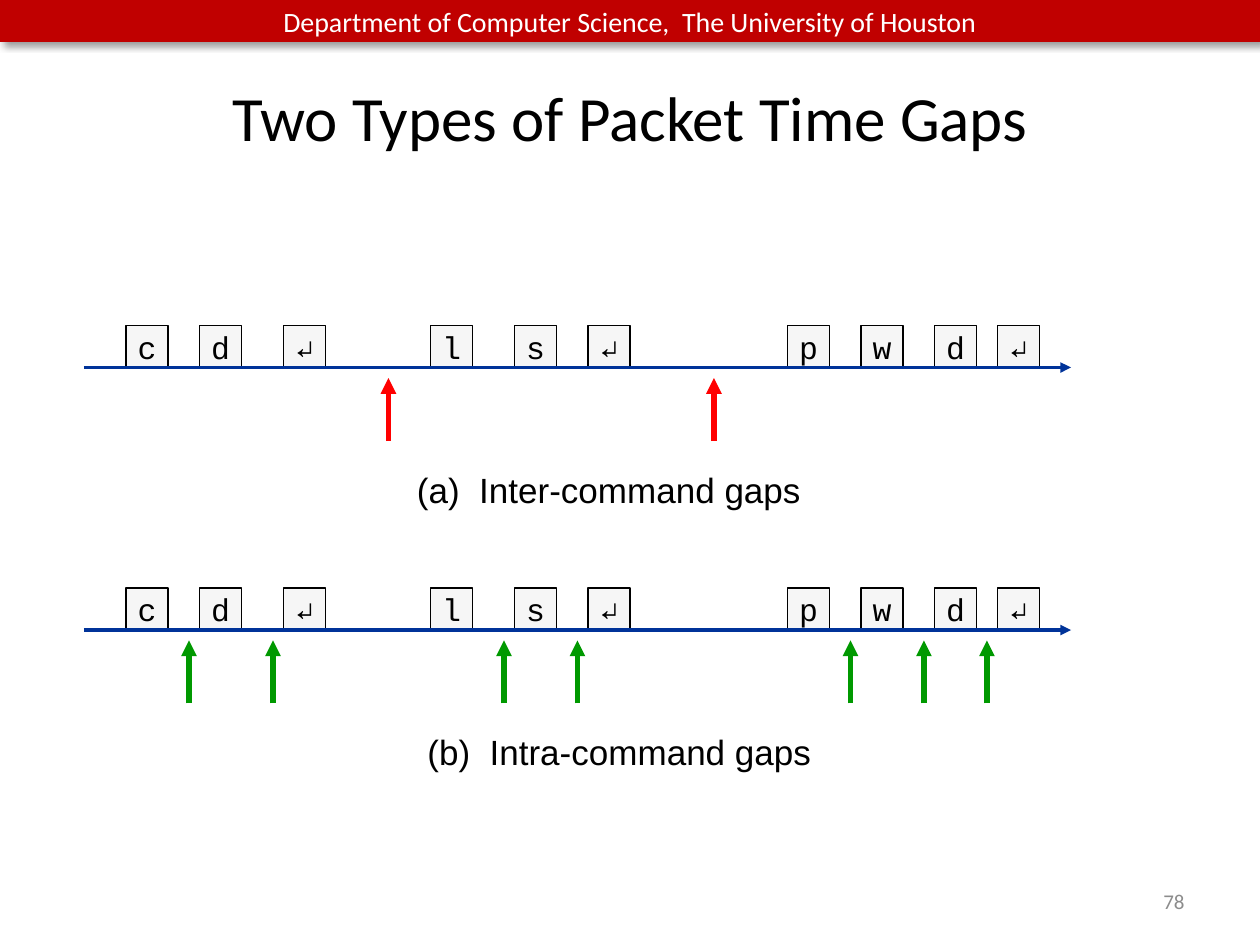
import pptx
import pptx.dml.color
import pptx.enum.shapes
import pptx.enum.text
import pptx.oxml
import pptx.oxml.ns
import pptx.util
from lxml import etree

RGB = pptx.dml.color.RGBColor
SHAPE = pptx.enum.shapes.MSO_SHAPE
ANCHOR = pptx.enum.text.MSO_ANCHOR
ALIGN = pptx.enum.text.PP_ALIGN

BLACK = RGB(0x00, 0x00, 0x00)
WHITE = RGB(0xFF, 0xFF, 0xFF)
CRIMSON = RGB(0xC0, 0x00, 0x00)
PALE = RGB(0xF2, 0xF2, 0xF2)
GRAY = RGB(0x8C, 0x8C, 0x8C)
NAVY = RGB(0x00, 0x33, 0x99)
RED = RGB(0xFF, 0x00, 0x00)
GREEN = RGB(0x00, 0x99, 0x00)

# Grid: twelve cells to the inch; the slide is 120 by 90 cells
WIDE, HIGH = 120, 90
KEY = 4
DROP = 25  # rows from the first timeline to the second

# Each command: its keys and the column where each one starts
WORDS = [
    [("c", 12), ("d", 19), ("↵", 27)],
    [("l", 41), ("s", 49), ("↵", 56)],
    [("p", 75), ("w", 82), ("d", 89), ("↵", 95)],
]
BREAKS = [37, 68]


def cell(count):
    return pptx.util.Inches(count / 12)


def place(col, row, wide, high):
    return cell(col), cell(row), cell(wide), cell(high)


def write(shape, text, size, font, color, align=ALIGN.CENTER,
          anchor=ANCHOR.MIDDLE, wrap=True):
    frame = shape.text_frame
    frame.word_wrap = wrap
    frame.vertical_anchor = anchor
    para = frame.paragraphs[0]
    para.alignment = align
    run = para.add_run()
    run.text = text
    run.font.size = pptx.util.Pt(size)
    run.font.name = font
    run.font.color.rgb = color


def add_label(slide, box, text, size, color, align=ALIGN.CENTER):
    label = slide.shapes.add_textbox(*place(*box))
    write(label, text, size, "Calibri", color, align)


def add_block(slide, kind, box, fill, line=None, alpha=100):
    block = slide.shapes.add_shape(kind, *place(*box))
    block.shadow.inherit = False
    block.fill.solid()
    block.fill.fore_color.rgb = fill
    if alpha < 100:
        tint = block.fill._xPr.find(".//" + pptx.oxml.ns.qn("a:srgbClr"))
        etree.SubElement(tint, pptx.oxml.ns.qn("a:alpha"), val=str(alpha * 1000))
    if line is None:
        block.line.fill.background()
    else:
        block.line.color.rgb = line
        block.line.width = pptx.util.Pt(0.75)
    return block


def add_banner(slide, text):
    banner = add_block(slide, SHAPE.RECTANGLE, (0, 0, WIDE, KEY), CRIMSON)
    glow = banner._element.spPr.find(pptx.oxml.ns.qn("a:effectLst"))
    glow.append(pptx.oxml.parse_xml(
        f'<a:outerShdw {pptx.oxml.ns.nsdecls("a")} blurRad="50800" '
        'dist="38100" dir="2700000" algn="tl" rotWithShape="0">'
        '<a:srgbClr val="000000"><a:alpha val="40000"/></a:srgbClr>'
        '</a:outerShdw>'))
    write(banner, text, 16, "Calibri", WHITE)


def add_arrow(slide, start, end, color, width):
    arrow = slide.shapes.add_connector(
        pptx.enum.shapes.MSO_CONNECTOR.STRAIGHT, *map(cell, start + end))
    arrow.line.color.rgb = color
    arrow.line.width = pptx.util.Pt(width)
    edge = arrow.line._get_or_add_ln()
    etree.SubElement(edge, pptx.oxml.ns.qn("a:tailEnd"), type="triangle")
    etree.SubElement(arrow._element.spPr, pptx.oxml.ns.qn("a:effectLst"))


def add_key(slide, col, row, text):
    key = add_block(slide, SHAPE.RECTANGLE, (col, row, KEY, KEY),
                    PALE, BLACK, 67)
    write(key, text, 18, "Courier New", BLACK, wrap=False)


def add_note(slide, box, text):
    note = add_block(slide, SHAPE.RECTANGULAR_CALLOUT, box, WHITE, WHITE, 53)
    note.adjustments[0] = 0.1
    note.adjustments[1] = 0.43
    write(note, text, 20, "Arial", BLACK, anchor=ANCHOR.TOP)


def add_track(slide, top, gaps, color):
    # Keys standing on a time axis, with arrows pointing up at the gaps
    for word in WORDS:
        for text, col in word:
            add_key(slide, col, top, text)
    base = top + KEY
    add_arrow(slide, (8, base), (102, base), NAVY, 2)
    for col in gaps:
        add_arrow(slide, (col, base + 7), (col, base + 1), color, 3)


def main():
    deck = pptx.Presentation()
    deck.slide_width, deck.slide_height = cell(WIDE), cell(HIGH)
    slide = deck.slides.add_slide(deck.slide_layouts[6])

    # Banner and title
    add_banner(slide, "Department of Computer Science,  The University of Houston")
    add_label(slide, (6, 3.6, 108, 15), "Two Types of Packet Time Gaps", 36, BLACK)

    # Gaps between commands
    top = 31
    add_track(slide, top, BREAKS, RED)
    add_note(slide, (37, top + 13, 42, 6), "(a)  Inter-command gaps")

    # Gaps inside a command: one cell before each key but the first
    top += DROP
    inner = [col - 1 for word in WORDS for _, col in word[1:]]
    add_track(slide, top, inner, GREEN)
    add_note(slide, (38, top + 13, 42, 7), "(b)  Intra-command gaps")

    # Page number
    add_label(slide, (86, 83.4, 28, 4.8), "78", 12, GRAY, ALIGN.RIGHT)

    deck.save("out.pptx")


if __name__ == "__main__":
    main()
